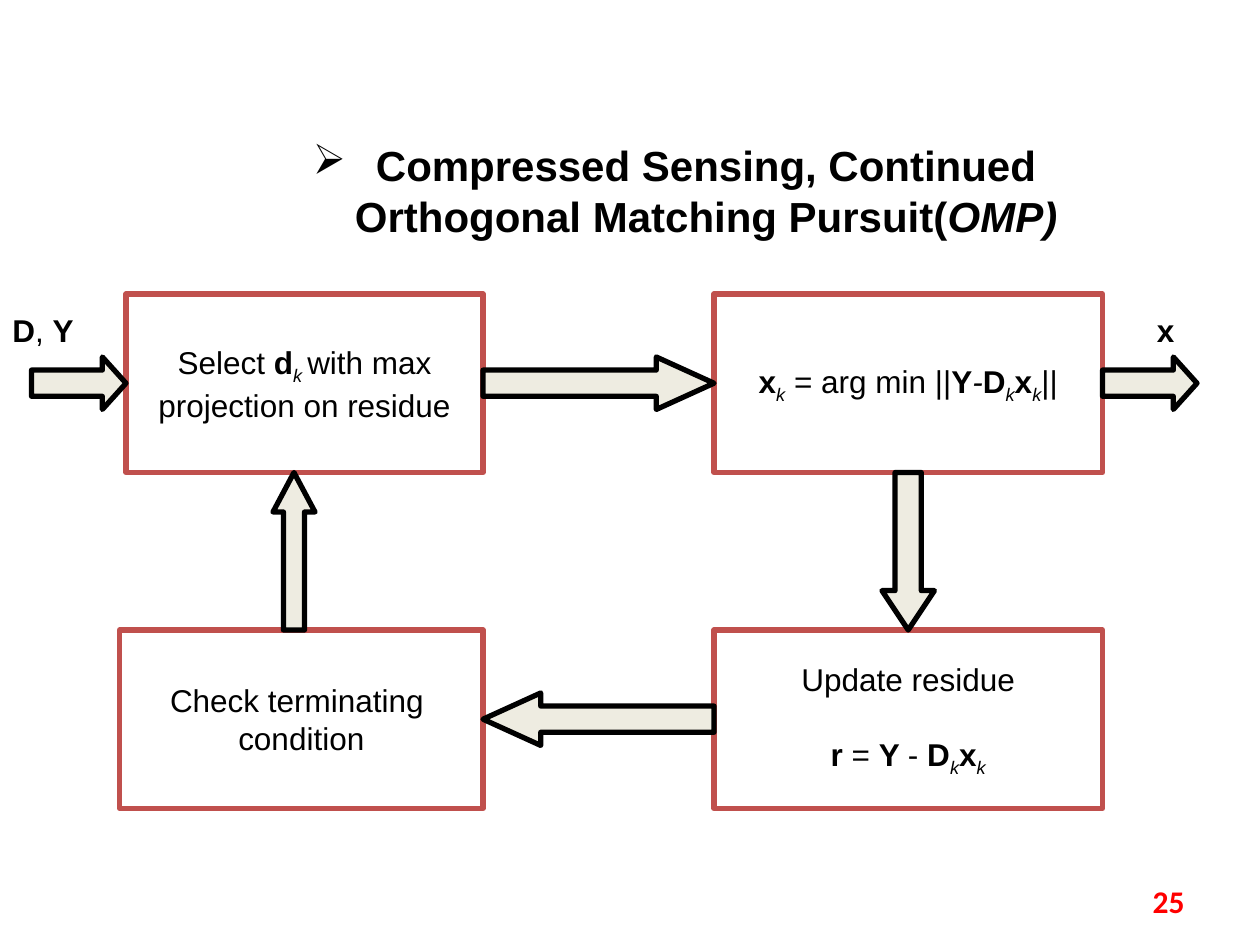
from dataclasses import dataclass

from lxml import etree
from pptx import Presentation, util as u
from pptx.dml.color import RGBColor
from pptx.enum import shapes, text
from pptx.oxml.ns import qn

PX = u.Inches(1) // 120
SHAPE = shapes.MSO_SHAPE
ALIGN = text.PP_ALIGN
ANCHOR = text.MSO_ANCHOR


@dataclass(frozen=True)
class Theme:
    ink: str = "000000"
    frame: str = "C0504D"
    arrow: str = "EEECE1"
    paper: str = "FFFFFF"
    number: str = "FF0000"
    font: str = "Arial"
    number_font: str = "Calibri"
    body: int = 18
    title: int = 24
    line: int = 3
    gap: int = 21


def add_run(p, content, font, size, color, bold=False, italic=False, sub=False):
    r = p.add_run()
    r.text = content
    f = r.font
    f.name, f.size, f.bold, f.italic = font, u.Pt(size), bold, italic
    f.color.rgb = RGBColor.from_string(color)
    if sub:
        f._element.set("baseline", "-25000")


def plain(content):
    return content, {}


def bold(content):
    return content, {"bold": True}


def italic(content):
    return content, {"italic": True}


def sub(content):
    return content, {"italic": True, "sub": True}


class Diagram:
    def __init__(self, slide, theme):
        self.s, self.theme = slide, theme

    def add_lines(self, tf, lines, align=ALIGN.CENTER, gap=0, **style):
        t = self.theme
        style = {"font": t.font, "size": t.body, "color": t.ink, **style}
        for i, runs in enumerate(lines):
            p = tf.add_paragraph() if i else tf.paragraphs[0]
            p.alignment = align
            if i and gap:
                p.space_before = u.Pt(gap)
            for content, look in runs:
                add_run(p, content, **{**style, **look})

    def shape(self, kind, box, fill, line):
        sp = self.s.shapes.add_shape(kind, *(v * PX for v in box))
        sp.shadow.inherit = False
        if fill:
            sp.fill.solid()
            sp.fill.fore_color.rgb = RGBColor.from_string(fill)
        else:
            sp.fill.background()
        sp.line.color.rgb = RGBColor.from_string(line)
        sp.line.width = u.Pt(self.theme.line)
        return sp

    def step(self, box, lines, fill=None, gap=0):
        sp = self.shape(SHAPE.FLOWCHART_PROCESS, box, fill, self.theme.frame)
        tf = sp.text_frame
        tf.word_wrap = False
        tf.vertical_anchor = ANCHOR.MIDDLE
        self.add_lines(tf, lines, gap=gap)

    def arrow(self, kind, box, head):
        sp = self.shape(kind, box, self.theme.arrow, self.theme.ink)
        sp.adjustments[0], sp.adjustments[1] = 0.5, head

    def label(self, box, runs, align=ALIGN.LEFT, anchor=ANCHOR.TOP, **style):
        tf = self.s.shapes.add_textbox(*(v * PX for v in box)).text_frame
        tf.word_wrap = True
        tf.vertical_anchor = anchor
        self.add_lines(tf, [runs], align, **style)

    def title(self, box, first, rest):
        sp = self.s.shapes.title
        sp.left, sp.top, sp.width, sp.height = (v * PX for v in box)
        tf = sp.text_frame
        tf.vertical_anchor = ANCHOR.MIDDLE
        p = tf.paragraphs[0]
        pPr = p._p.get_or_add_pPr()
        pPr.set("marL", str(60 * PX))
        pPr.set("indent", str(-60 * PX))
        etree.SubElement(pPr, qn("a:buChar")).set("char", "➢")
        style = {"size": self.theme.title, "bold": True}
        self.add_lines(tf, [[plain(first)]], **style)
        p.add_line_break()
        self.add_lines(tf, [rest], **style)


def main():
    prs = Presentation()
    prs.slide_width, prs.slide_height = 1200 * PX, 900 * PX
    theme = Theme()
    d = Diagram(prs.slides.add_slide(prs.slide_layouts[5]), theme)

    d.title((118, 110, 1049, 142), "Compressed Sensing, Continued",
            [plain("Orthogonal Matching Pursuit("), italic("OMP)")])

    top, bottom, height = 280, 600, 170
    dx = [bold("D"), sub("k"), bold("x"), sub("k")]
    d.step((120, top, 340, height),
           [[plain("Select "), bold("d"), sub("k "), plain("with max")],
            [plain("projection on residue")]])
    d.step((680, top, 370, height),
           [[bold("x"), sub("k"), plain(" = arg min ||"), bold("Y"), italic("-"),
             *dx, plain("||")]])
    d.step((680, bottom, 370, height),
           [[plain("Update residue")],
            [bold("r "), plain("= "), bold("Y "), plain("- "), *dx]],
           fill=theme.paper, gap=theme.gap)
    d.step((114, bottom, 346, height),
           [[plain("Check terminating ")], [plain("condition")]])

    between = bottom - top - height
    for kind, box, head in [
        (SHAPE.RIGHT_ARROW, (460, top + 60, 220, 50), 1.1),
        (SHAPE.DOWN_ARROW, (840, top + height, 50, between), 0.75),
        (SHAPE.LEFT_ARROW, (460, bottom + 60, 220, 50), 1.1),
        (SHAPE.UP_ARROW, (260, top + height, 40, between), 0.94),
        (SHAPE.RIGHT_ARROW, (30, top + 60, 90, 50), 0.45),
        (SHAPE.RIGHT_ARROW, (1050, top + 60, 90, 50), 0.45),
    ]:
        d.arrow(kind, box, head)

    d.label((0, 290, 110, 48), [bold("D"), plain(", "), bold("Y")])
    d.label((1090, 290, 60, 48), [bold("x")])
    d.label((860, 834, 280, 48), [bold("25")], ALIGN.RIGHT, ANCHOR.MIDDLE,
            font=theme.number_font, color=theme.number)

    prs.save("out.pptx")


if __name__ == "__main__":
    main()
